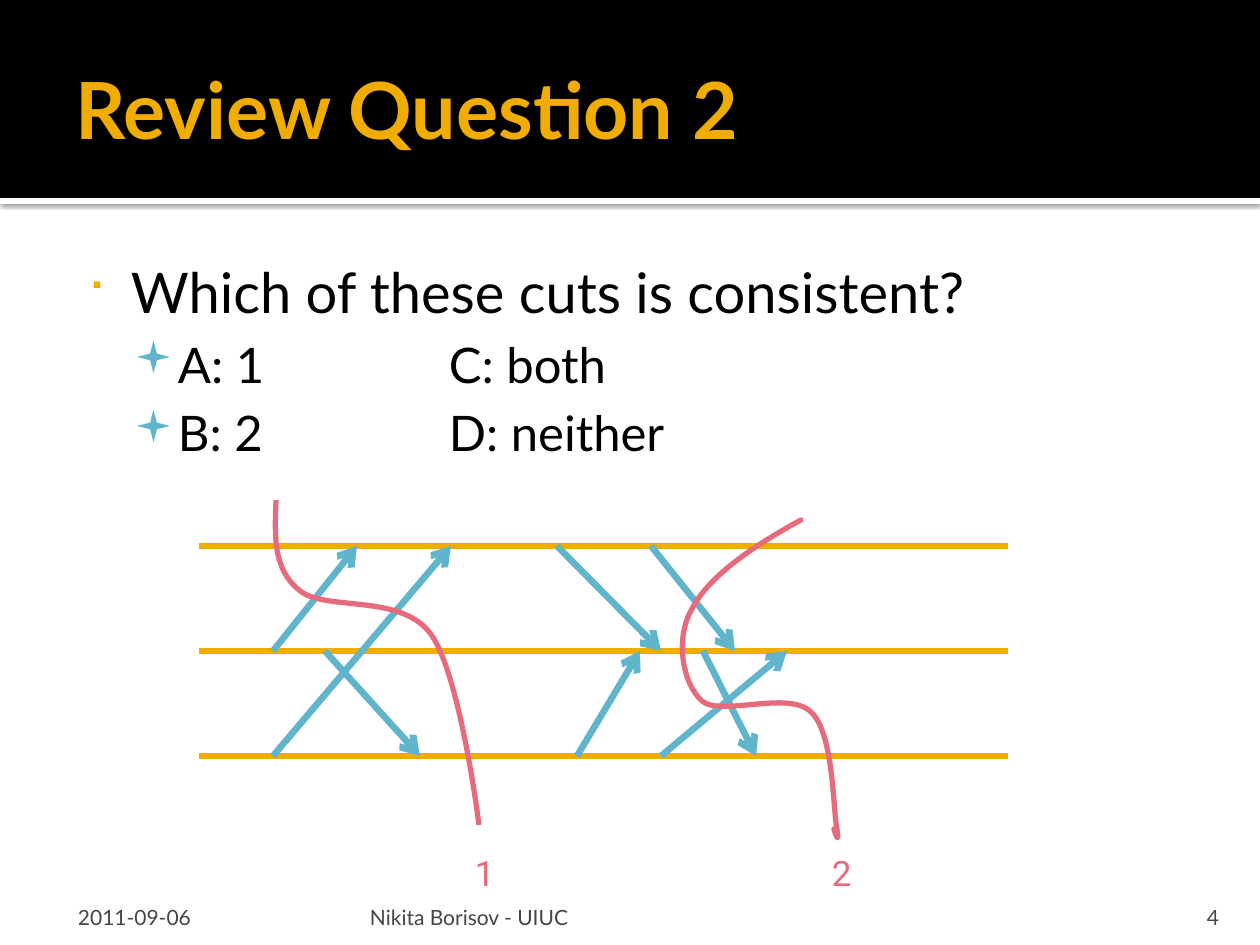
from lxml.etree import SubElement
from pptx import Presentation
from pptx.dml.color import RGBColor
from pptx.enum.shapes import MSO_CONNECTOR, MSO_SHAPE
from pptx.enum.text import MSO_ANCHOR, PP_ALIGN
from pptx.oxml.ns import qn
from pptx.util import Pt

SCALE = 914400 / 126
BLACK = RGBColor(0x00, 0x00, 0x00)
WHITE = RGBColor(0xFF, 0xFF, 0xFF)
GOLD = RGBColor(0xF0, 0xAD, 0x00)
TEAL = RGBColor(0x60, 0xB5, 0xCC)
ROSE = RGBColor(0xE6, 0x6C, 0x7D)
GRAY = RGBColor(0x45, 0x45, 0x45)


def px(n):
    return round(n * SCALE)


class SlideBuilder:
    font = "Lato"

    def __init__(self, slide):
        self.shapes = slide.shapes

    def band(self, x, y, w, h, color, shadow=False):
        sp = self.shapes.add_shape(MSO_SHAPE.RECTANGLE, px(x), px(y), px(w), px(h))
        sp.shadow.inherit = False
        sp.fill.solid()
        sp.fill.fore_color.rgb = color
        sp.line.fill.background()
        if shadow:
            effects = sp._element.spPr.find(qn("a:effectLst"))
            outer = SubElement(effects, qn("a:outerShdw"), blurRad=str(Pt(2.5)),
                               dist=str(Pt(0.8)), dir="5400000", algn="tl", rotWithShape="0")
            clr = SubElement(outer, qn("a:srgbClr"), val=str(BLACK))
            SubElement(clr, qn("a:alpha"), val="60000")

    def line(self, x1, y1, x2, y2, color, arrow=False):
        cxn = self.shapes.add_connector(MSO_CONNECTOR.STRAIGHT, px(x1), px(y1), px(x2), px(y2))
        cxn.line.color.rgb = color
        cxn.line.width = Pt(3.78)
        if arrow:
            SubElement(cxn.line._get_or_add_ln(), qn("a:tailEnd"), type="arrow")
        SubElement(cxn._element.spPr, qn("a:effectLst"))

    def curve(self, start, *points, cap="flat"):
        fb = self.shapes.build_freeform(px(start[0]), px(start[1]))
        fb.add_line_segments([(px(x), px(y)) for x, y in points], close=False)
        sp = fb.convert_to_shape()
        # Every three points become one cubic segment
        outline = next(sp._element.iter(qn("a:path")))
        steps = outline.findall(qn("a:lnTo"))
        for i in range(0, len(steps), 3):
            cubic = SubElement(outline, qn("a:cubicBezTo"))
            for step in steps[i:i + 3]:
                cubic.append(step[0])
                outline.remove(step)
        sp.shadow.inherit = False
        sp.fill.background()
        sp.line.color.rgb = ROSE
        sp.line.width = Pt(3)
        sp.line._get_or_add_ln().set("cap", cap)

    def frame(self, x, y, w, h, insets, anchor=MSO_ANCHOR.TOP, wrap=True):
        tf = self.shapes.add_textbox(px(x), px(y), px(w), px(h)).text_frame
        tf.word_wrap = wrap
        tf.vertical_anchor = anchor
        tf.margin_left, tf.margin_top, tf.margin_right, tf.margin_bottom = map(px, insets)
        return tf

    def run(self, p, text, size, color, bold=False, font=None):
        r = p.add_run()
        r.text = text
        r.font.name = font or self.font
        r.font.size = Pt(size)
        r.font.bold = bold
        r.font.color.rgb = color

    def bullet(self, p, char, color, percent, margin, hanging):
        pPr = p._p.get_or_add_pPr()
        pPr.set("marL", str(px(margin)))
        pPr.set("indent", str(-px(hanging)))
        pPr.set("defTabSz", str(px(126)))
        SubElement(SubElement(pPr, qn("a:buClr")), qn("a:srgbClr"), val=str(color))
        SubElement(pPr, qn("a:buSzPct"), val=str(percent * 1000))
        SubElement(pPr, qn("a:buFont"), typeface="Wingdings", charset="2")
        SubElement(pPr, qn("a:buChar"), char=char)


prs = Presentation()
prs.slide_width, prs.slide_height = px(1260), px(945)
s = SlideBuilder(prs.slides.add_slide(prs.slide_layouts[6]))

# Header
s.band(0, 198, 1260, 6, WHITE, shadow=True)
s.band(0, 0, 1260, 198, BLACK)
tf = s.frame(63, 22, 1134, 173, (13, 6, 6, 6), MSO_ANCHOR.MIDDLE)
s.run(tf.paragraphs[0], "Review Question 2", 45, GOLD, bold=True)

# Question and answers
tf = s.frame(63, 244, 1134, 638, (8, 13, 13, 6))
p = tf.paragraphs[0]
s.run(p, "Which of these cuts is consistent?", 32, BLACK)
s.bullet(p, "\u25a0", GOLD, 80, 60, 44)
for answers in ("A: 1\t\tC: both", "B: 2\t\tD: neither"):
    p = tf.add_paragraph()
    p.level = 1
    p.space_before = Pt(5.6)
    s.run(p, answers, 28, BLACK)
    s.bullet(p, "\u25aa", TEAL, 90, 101, 38)

# Process timelines
TOP, MID, LOW = timelines = [546 + 105 * i for i in range(3)]
for y in timelines:
    s.line(199, y, 1008, y, GOLD)

# Messages and cuts
for message in ((325, MID, 420, LOW), (273, LOW, 451, TOP), (273, MID, 357, TOP)):
    s.line(*message, TEAL, arrow=True)
s.curve((276, 500),
        (275, 534), (272, 568), (299, 590),
        (324, 612), (399, 593), (430, 633),
        (460, 672), (479, 825), (479, 825))
for message in ((557, TOP, 661, MID), (577, LOW, 640, MID), (651, TOP, 735, MID),
                (703, MID, 756, LOW), (661, LOW, 787, MID)):
    s.line(*message, TEAL, arrow=True)
s.curve((801, 520),
        (748, 549), (708, 578), (692, 609),
        (675, 638), (682, 683), (702, 701),
        (721, 717), (789, 690), (811, 712),
        (834, 733), (833, 810), (837, 829),
        (840, 849), (834, 829), (834, 829), cap="rnd")

# Cut labels
for x, label in ((462, "1"), (819, "2")):
    p = s.frame(x, 850, 45, 52, (13, 6, 13, 6), wrap=False).paragraphs[0]
    p.line_spacing = 0.9
    s.run(p, label, 20, ROSE, font="Roboto")

# Footer
for x, w, left, right, align, text in (
        (63, 294, 15, 6, PP_ALIGN.LEFT, "2011-09-06"),
        (364, 759, 6, 6, PP_ALIGN.LEFT, "Nikita Borisov - UIUC"),
        (1131, 101, 13, 13, PP_ALIGN.RIGHT, "4")):
    p = s.frame(x, 892, w, 38, (left, 6, right, 0), MSO_ANCHOR.BOTTOM).paragraphs[0]
    p.alignment = align
    s.run(p, text, 12, GRAY)

prs.save("out.pptx")
